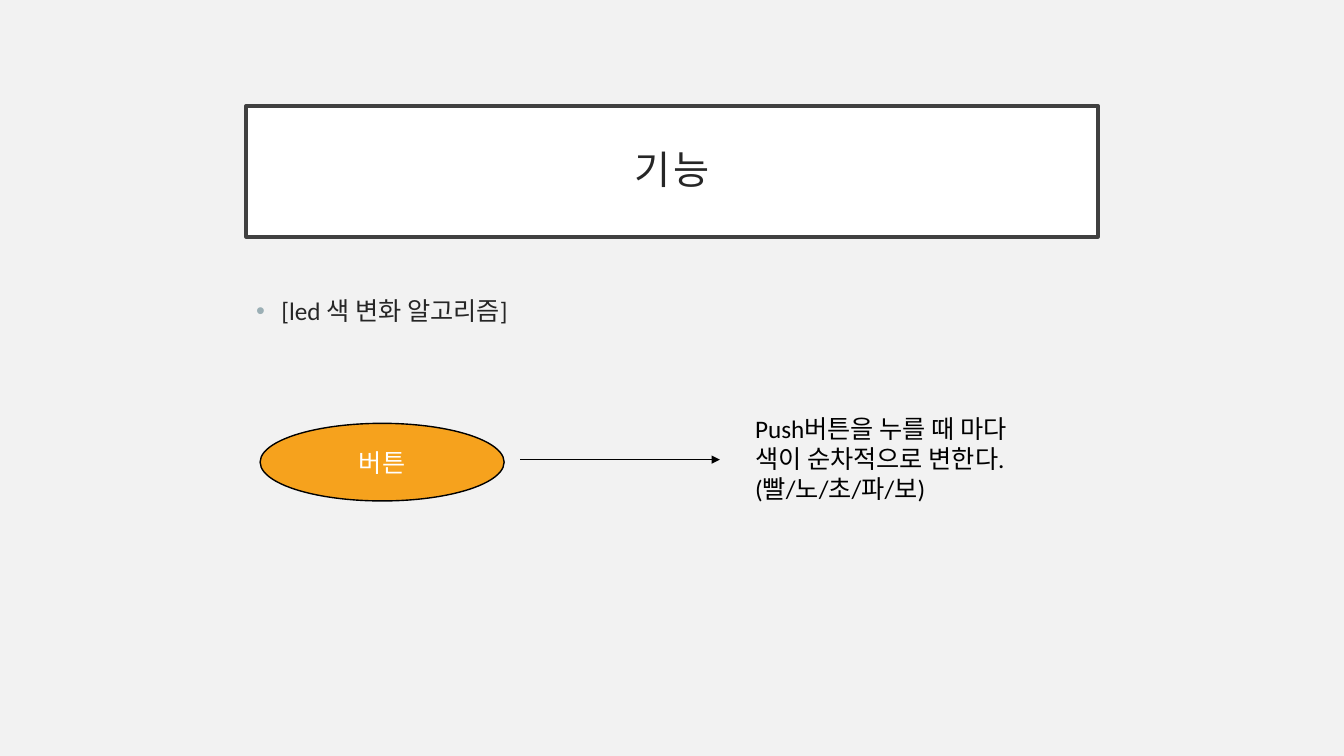
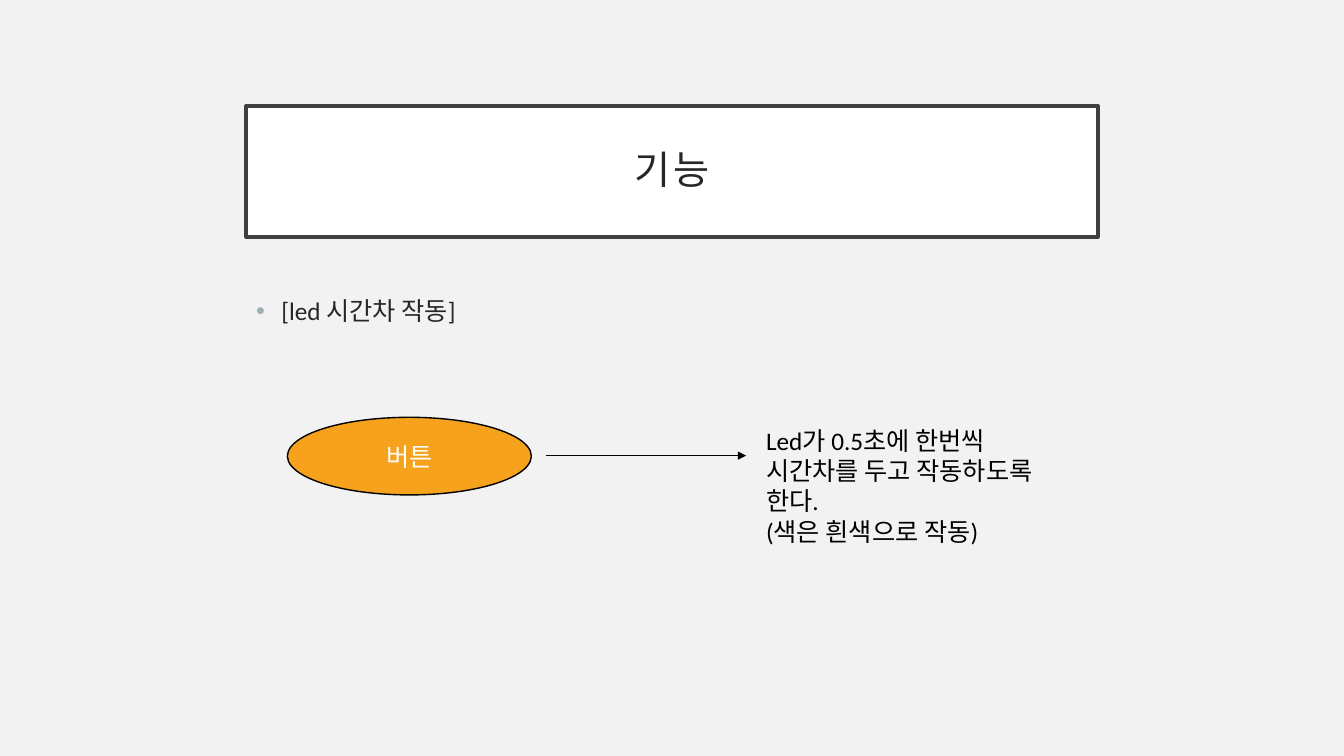
from lxml.etree import SubElement
from pptx import Presentation
from pptx.dml.color import RGBColor
from pptx.enum.shapes import MSO_CONNECTOR, MSO_SHAPE
from pptx.enum.text import MSO_ANCHOR, MSO_AUTO_SIZE, PP_ALIGN
from pptx.oxml.ns import qn
from pptx.util import Inches, Pt

COLORS = {
    "background": "F2F2F2",
    "white": "FFFFFF",
    "frame": "404040",
    "text": "262626",
    "bullet": "9BAFB5",
    "button": "F6A21D",
    "black": "000000",
}
FONT = "Calibri"


def color(name):
    return RGBColor.from_string(COLORS[name])


class SlideBuilder:
    """Holds the shared style and the current slide."""

    def __init__(self):
        self.deck = Presentation()
        self.deck.slide_width = Inches(13.33)
        self.deck.slide_height = Inches(7.5)
        self.page = None

    def new_page(self):
        self.page = self.deck.slides.add_slide(self.deck.slide_layouts[1])
        background = self.page.background.fill
        background.solid()
        background.fore_color.rgb = color("background")

    def place(self, box, left, top, width, height):
        box.left, box.top = Inches(left), Inches(top)
        box.width, box.height = Inches(width), Inches(height)

    def paint(self, shape, fill, line, weight):
        shape.fill.solid()
        shape.fill.fore_color.rgb = color(fill)
        shape.line.color.rgb = color(line)
        shape.line.width = Pt(weight)

    def set_text(self, box, text, ink, size=18, align=PP_ALIGN.LEFT):
        frame = box.text_frame
        frame.text = text
        frame.word_wrap = True
        for para in frame.paragraphs:
            para.alignment = align
            for span in para.runs:
                span.font.name = FONT
                span.font.size = Pt(size)
                span.font.color.rgb = color(ink)
        return frame

    def title(self, text):
        box = self.page.shapes.title
        self.place(box, 2.44, 1.05, 8.45, 1.3)
        self.paint(box, "white", "frame", 2.5)
        frame = self.set_text(box, text, "text", 28, PP_ALIGN.CENTER)
        frame.auto_size = MSO_AUTO_SIZE.NONE
        frame.vertical_anchor = MSO_ANCHOR.MIDDLE
        frame.margin_left = frame.margin_right = Inches(0.2)
        frame.margin_top = frame.margin_bottom = Inches(0.2)
        para = frame.paragraphs[0]
        para.line_spacing = 0.9
        # Letter spacing of 2 pt
        para.runs[0]._r.get_or_add_rPr().set("spc", "200")

    def bullet(self, text):
        box = self.page.placeholders[1]
        self.place(box, 2.44, 2.88, 8.45, 3.39)
        frame = self.set_text(box, text, "text")
        frame.auto_size = MSO_AUTO_SIZE.NONE
        para = frame.paragraphs[0]
        para.space_before = Pt(10)
        # Hanging indent and coloured bullet
        properties = para._p.get_or_add_pPr()
        properties.set("marL", str(Inches(0.25)))
        properties.set("indent", str(-Inches(0.25)))
        tint = SubElement(properties, qn("a:buClr"))
        SubElement(tint, qn("a:srgbClr"), val=COLORS["bullet"])
        SubElement(properties, qn("a:buFont"), typeface="Arial")
        SubElement(properties, qn("a:buChar"), char="•")

    def button(self, text, left, top):
        oval = self.page.shapes.add_shape(
            MSO_SHAPE.OVAL, Inches(left), Inches(top), Inches(2.42), Inches(0.77))
        oval.shadow.inherit = False
        self.paint(oval, "button", "black", 1)
        frame = self.set_text(oval, text, "white", align=PP_ALIGN.CENTER)
        frame.vertical_anchor = MSO_ANCHOR.MIDDLE

    def arrow(self, left, top, length=1.98):
        arrow = self.page.shapes.add_connector(
            MSO_CONNECTOR.STRAIGHT, Inches(left), Inches(top),
            Inches(left + length), Inches(top))
        arrow.line.color.rgb = color("black")
        arrow.line.width = Pt(0.5)
        properties = arrow._element.spPr
        SubElement(properties.find(qn("a:ln")), qn("a:tailEnd"), type="triangle")
        SubElement(properties, qn("a:effectLst"))

    def note(self, text, left, top, width):
        box = self.page.shapes.add_textbox(
            Inches(left), Inches(top), Inches(width), Inches(1.01))
        frame = self.set_text(box, text, "black")
        frame.auto_size = MSO_AUTO_SIZE.SHAPE_TO_FIT_TEXT


def main():
    builder = SlideBuilder()

    # Bullet, button position, arrow start, note text and note frame
    features = [
        ("[led 색 변화 알고리즘]", (2.58, 4.2), (5.16, 4.56),
         "Push버튼을 누를 때 마다 색이 순차적으로 변한다.\n(빨/노/초/파/보)",
         (7.39, 4.05, 2.95)),
        ("[led 시간차 작동]", (2.85, 4.14), (5.42, 4.52),
         "Led가 0.5초에 한번씩 시간차를 두고 작동하도록 한다.\n(색은 흰색으로 작동)",
         (7.5, 4.17, 3.24)),
    ]
    for heading, button_at, arrow_at, effect, note_at in features:
        builder.new_page()
        builder.title("기능")
        builder.bullet(heading)
        builder.button("버튼", *button_at)
        builder.arrow(*arrow_at)
        builder.note(effect, *note_at)

    builder.deck.save("out.pptx")


if __name__ == "__main__":
    main()
